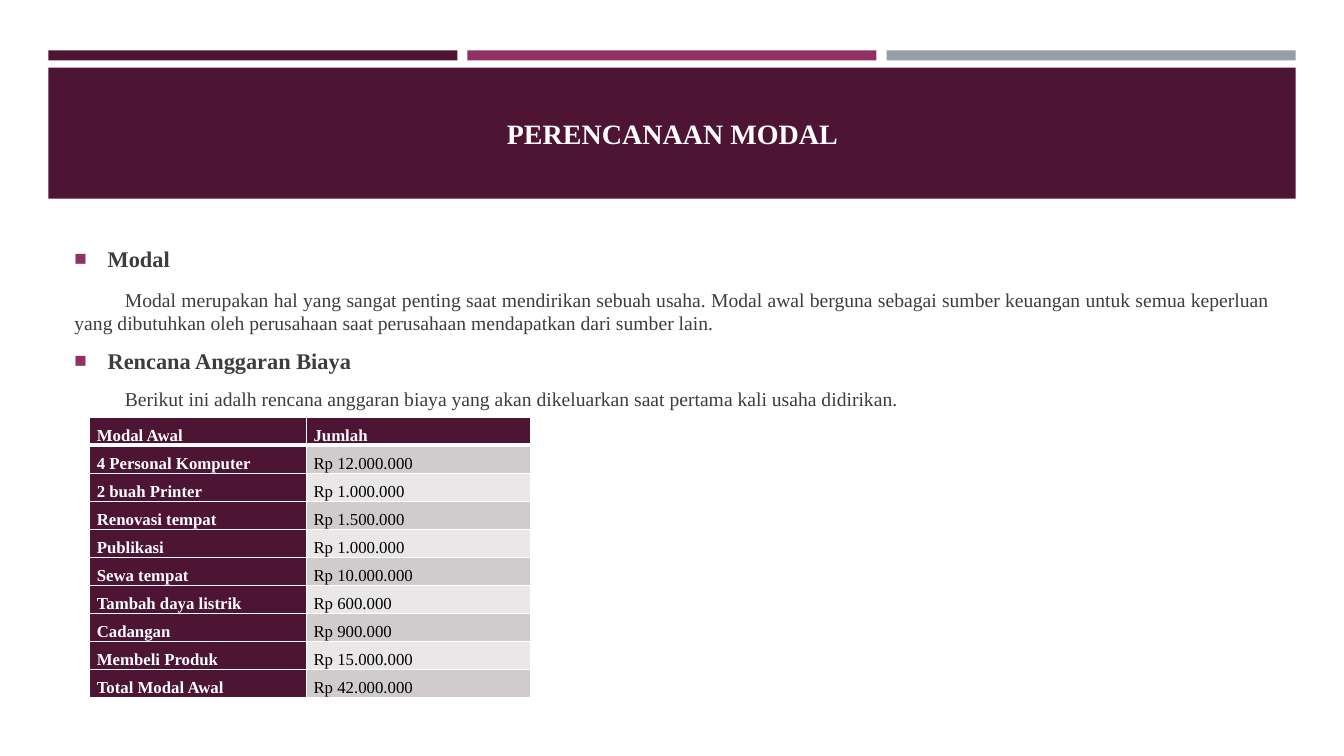
"""Build the capital planning slide."""
import dataclasses
import lxml.etree
import pptx
import pptx.dml.color
import pptx.enum.shapes
import pptx.enum.text
import pptx.oxml.ns
import pptx.util

Inches = pptx.util.Inches
Pt = pptx.util.Pt
Align = pptx.enum.text.PP_ALIGN
Anchor = pptx.enum.text.MSO_ANCHOR


@dataclasses.dataclass(frozen=True)
class Theme:
    """Hold the colours, font and type sizes."""
    font: str = "Times New Roman"
    plum: str = "4D1434"
    rose: str = "903163"
    slate: str = "969FA7"
    white: str = "FFFFFF"
    black: str = "000000"
    ink: str = "3D3D3D"
    bands: tuple = ("D0CCCE", "E9E7E8")
    title: int = 20
    head: int = 16
    body: int = 14
    cell: int = 12


THEME = Theme()
BODY = [
    ("Modal", True),
    ("Modal merupakan hal yang sangat penting saat mendirikan sebuah usaha. "
     "Modal awal berguna sebagai sumber keuangan untuk semua keperluan yang "
     "dibutuhkan oleh perusahaan saat perusahaan mendapatkan dari sumber lain.", False),
    ("Rencana Anggaran Biaya", True),
    ("Berikut ini adalh rencana anggaran biaya yang akan dikeluarkan saat "
     "pertama kali usaha didirikan.", False),
]
COSTS = [
    ("Modal Awal", "Jumlah"),
    ("4 Personal Komputer", "Rp 12.000.000"),
    ("2 buah Printer", "Rp 1.000.000"),
    ("Renovasi tempat", "Rp 1.500.000"),
    ("Publikasi", "Rp 1.000.000"),
    ("Sewa tempat", "Rp 10.000.000"),
    ("Tambah daya listrik", "Rp 600.000"),
    ("Cadangan", "Rp 900.000"),
    ("Membeli Produk", "Rp 15.000.000"),
    ("Total Modal Awal", "Rp 42.000.000"),
]


def paint(fill, color):
    """Give a fill one solid colour."""
    fill.solid()
    fill.fore_color.rgb = pptx.dml.color.RGBColor.from_string(color)


def child(parent, tag, **attrs):
    """Append an XML element with attributes."""
    node = lxml.etree.SubElement(parent, pptx.oxml.ns.qn(tag))
    for key, value in attrs.items():
        node.set(key, str(value))
    return node


def write(para, text, size, color, bold=False, align=Align.JUSTIFY,
          line=1.0, before=0, after=0):
    """Fill a paragraph with formatted text."""
    para.alignment = align
    para.line_spacing = line
    para.space_before = Pt(before)
    para.space_after = Pt(after)
    run = para.add_run()
    run.text = text
    run.font.name = THEME.font
    run.font.size = Pt(size)
    run.font.bold = bold
    paint(run.font.fill, color)


def indent(para, bullet):
    """Add a square bullet or a first-line indent."""
    props = para._p.get_or_add_pPr()
    left = Inches(0.33) if bullet else 0
    props.set("marL", str(left))
    props.set("indent", str(-left if bullet else Inches(0.5)))
    if bullet:
        child(child(props, "a:buClr"), "a:srgbClr", val=THEME.rose)
        child(props, "a:buSzPct", val=92000)
        child(props, "a:buFont", typeface="Arial")
        child(props, "a:buChar", char="■")
    else:
        child(props, "a:buNone")


def block(slide, box, color):
    """Draw a plain filled rectangle."""
    kind = pptx.enum.shapes.MSO_SHAPE.RECTANGLE
    shape = slide.shapes.add_shape(kind, *map(Inches, box))
    shape.shadow.inherit = False
    paint(shape.fill, color)
    shape.line.fill.background()


def frame(slide, box, anchor):
    """Add a wrapping text box and return its frame."""
    text = slide.shapes.add_textbox(*map(Inches, box)).text_frame
    text.word_wrap = True
    text.vertical_anchor = anchor
    return text


def banner(slide, box):
    """Draw the three bars and the title band."""
    left, top, width, height = box
    gap = 0.1
    bar = (width - 2 * gap) / 3
    for i, color in enumerate((THEME.plum, THEME.rose, THEME.slate)):
        block(slide, (left + i * (bar + gap), top, bar, 0.1), color)
    block(slide, (left, top + 0.17, width, height - 0.17), THEME.plum)
    text = frame(slide, (left + 0.16, top + 0.27, width - 0.31, height - 0.36),
                 Anchor.MIDDLE)
    write(text.paragraphs[0], "PERENCANAAN MODAL", THEME.title, THEME.white,
          bold=True, align=Align.CENTER)


def prose(slide, box):
    """Write the headings and their paragraphs."""
    text = frame(slide, box, Anchor.TOP)
    for i, (words, head) in enumerate(BODY):
        para = text.add_paragraph() if i else text.paragraphs[0]
        size = THEME.head if head else THEME.body
        before = 5.3 if i == 1 else size * 0.2
        write(para, words, size, THEME.ink, bold=head,
              before=before if i else 0, after=6)
        indent(para, head)


def border(cell, top, bottom):
    """Rule the four sides of a cell in white."""
    props = cell._tc.get_or_add_tcPr()
    widths = {"L": 1, "R": 1, "T": top, "B": bottom}
    for i, (side, width) in enumerate(widths.items()):
        rule = child(props, "a:ln" + side, w=Pt(width))
        child(child(rule, "a:solidFill"), "a:srgbClr", val=THEME.white)
        props.insert(i, rule)


def costs(slide, box):
    """Build the budget table."""
    shape = slide.shapes.add_table(len(COSTS), 2, *map(Inches, box))
    table = shape.table
    table.first_row = table.horz_banding = False
    for col, width in zip(table.columns, (2.15, box[2] - 2.15)):
        col.width = Inches(width)
    for r, row in enumerate(COSTS):
        table.rows[r].height = Inches(box[3] / len(COSTS))
        for c, words in enumerate(row):
            cell = table.cell(r, c)
            cell.margin_left = cell.margin_right = Inches(0.07)
            cell.margin_top = cell.margin_bottom = 0
            cell.vertical_anchor = Anchor.BOTTOM
            label = r == 0 or c == 0
            paint(cell.fill, THEME.plum if label else THEME.bands[(r - 1) % 2])
            write(cell.text_frame.paragraphs[0], words, THEME.cell,
                  THEME.white if label else THEME.black, bold=label, line=1.35)
            border(cell, 3 if r == 1 else 1, 3 if r == 0 else 1)


def main():
    """Assemble and save the deck."""
    deck = pptx.Presentation()
    deck.slide_width, deck.slide_height = Inches(13.33), Inches(7.5)
    slide = deck.slides.add_slide(deck.slide_layouts[6])
    banner(slide, (0.48, 0.5, 12.37, 1.47))
    prose(slide, (0.64, 2.38, 12.06, 4.53))
    costs(slide, (0.89, 4.14, 4.37, 2.78))
    deck.save("out.pptx")


main()
